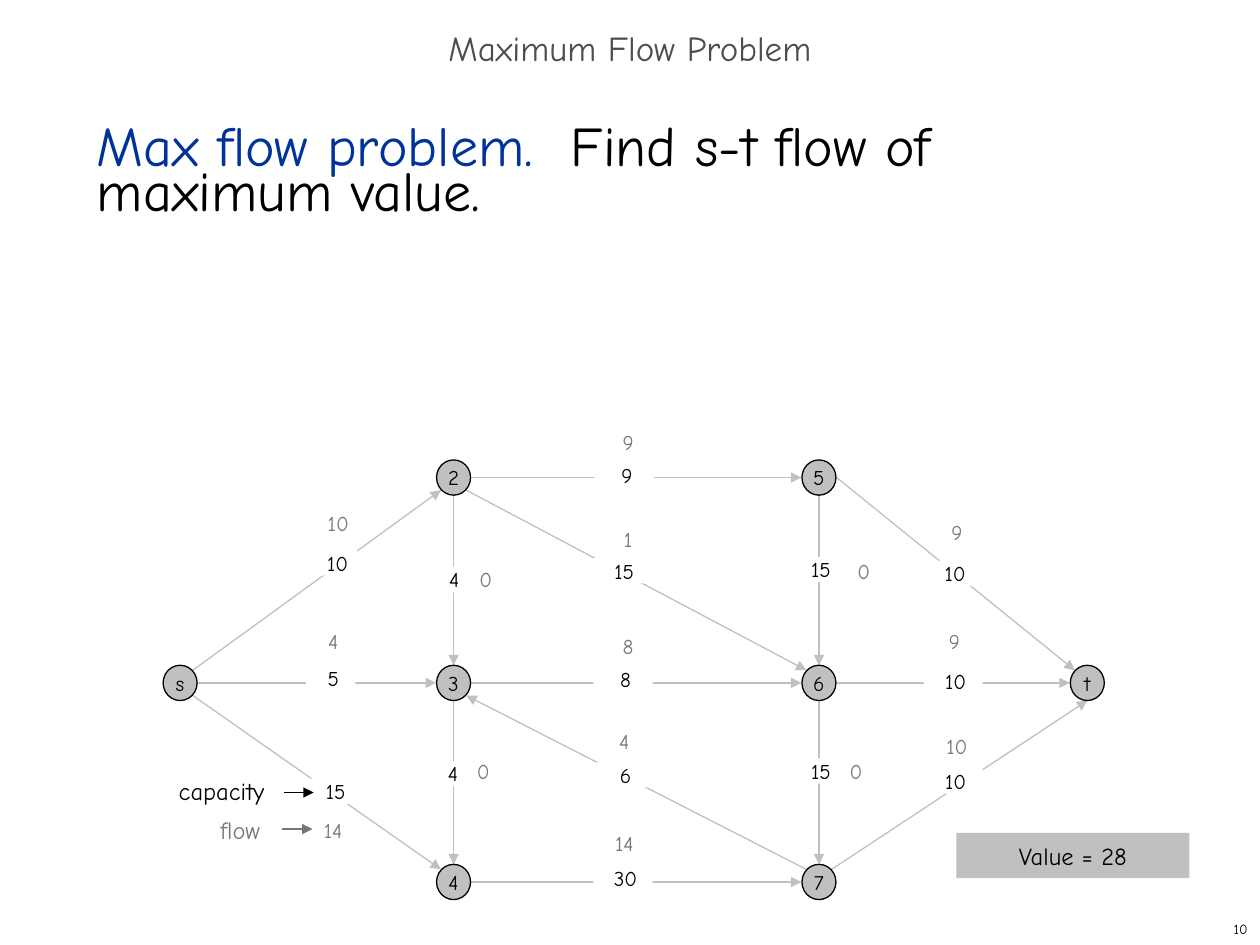
from typing import NamedTuple

from lxml.etree import SubElement
from pptx import Presentation
from pptx.dml.color import RGBColor
from pptx.enum.shapes import MSO_CONNECTOR, MSO_SHAPE
from pptx.enum.text import MSO_ANCHOR as ANCHOR, PP_ALIGN as ALIGN
from pptx.oxml.ns import qn
from pptx.util import Inches, Pt

FONT = "Comic Neue"
BLACK = RGBColor(0x00, 0x00, 0x00)
WHITE = RGBColor(0xFF, 0xFF, 0xFF)
BLUE = RGBColor(0x00, 0x33, 0x99)
DARK = RGBColor(0x4D, 0x4D, 0x4D)
GRAY = RGBColor(0x77, 0x77, 0x77)
SILVER = RGBColor(0xC0, 0xC0, 0xC0)

NODE_W, NODE_H = 0.27, 0.28
LABEL_W, LABEL_H = 0.37, 0.19

# Column and row centres of the network
S_X, LEFT_X, RIGHT_X, T_X = 1.43, 3.6, 6.5, 8.63
TOP_Y, MID_Y, LOW_Y = 3.79, 5.42, 7.0
NODES = {
    "s": (S_X, MID_Y), "t": (T_X, MID_Y),
    "2": (LEFT_X, TOP_Y), "3": (LEFT_X, MID_Y), "4": (LEFT_X, LOW_Y),
    "5": (RIGHT_X, TOP_Y), "6": (RIGHT_X, MID_Y), "7": (RIGHT_X, LOW_Y),
}

# Points on a node's rim, as offsets from its centre
PORTS = {
    "N": (0, -0.14), "S": (0, 0.14), "W": (-0.14, 0), "E": (0.14, 0),
    "NW": (-0.1, -0.1), "NE": (0.1, -0.1), "SW": (-0.1, 0.1), "SE": (0.1, 0.1),
}


class Edge(NamedTuple):
    src: str
    src_port: str
    dst: str
    dst_port: str
    capacity: int
    capacity_at: tuple[float, float]
    flow: int
    flow_at: tuple[float, float]
    gap: float = 0.47  # width of the break in the arrow
    indent: float = 0.04


EDGES = [
    Edge("s", "NE", "2", "SW", 10, (2.38, 4.37), 10, (2.5, 4.05), 0.46, 0.14),
    Edge("s", "E", "3", "W", 5, (2.43, 5.28), 4, (2.46, 4.99), 0.39),
    Edge("s", "SE", "4", "NW", 15, (2.41, 6.18), 14, (2.46, 6.49)),
    Edge("2", "E", "5", "W", 9, (4.72, 3.67), 9, (4.8, 3.41)),
    Edge("2", "SE", "6", "NW", 15, (4.7, 4.43), 1, (4.8, 4.18)),
    Edge("2", "S", "3", "N", 4, (3.35, 4.5), 0, (3.67, 4.5)),
    Edge("3", "E", "6", "W", 8, (4.71, 5.29), 8, (4.8, 5.03)),
    Edge("3", "S", "4", "N", 4, (3.34, 6.04), 0, (3.65, 6.02)),
    Edge("4", "E", "7", "W", 30, (4.71, 6.87), 14, (4.77, 6.59)),
    Edge("7", "NW", "3", "SE", 6, (4.71, 6.05), 4, (4.77, 5.78)),
    Edge("5", "S", "6", "N", 15, (6.26, 4.42), 0, (6.67, 4.43)),
    Edge("6", "S", "7", "N", 15, (6.26, 6.02), 0, (6.61, 6.02)),
    Edge("5", "E", "t", "NW", 10, (7.28, 4.45), 9, (7.41, 4.12), 0.46, 0.14),
    Edge("6", "E", "t", "W", 10, (7.33, 5.31), 9, (7.39, 4.99)),
    Edge("7", "NE", "t", "S", 10, (7.33, 6.1), 10, (7.41, 5.82)),
]


def style_run(r, size: float, color: RGBColor) -> None:
    r.font.name = FONT
    r.font.size = Pt(size)
    r.font.color.rgb = color


def set_text(sp, text: str, size: float, color: RGBColor, align=ALIGN.CENTER,
             anchor=ANCHOR.TOP, insets=(0.1, 0.05, 0.1, 0.05), wrap=True):
    tf = sp.text_frame
    tf.text = text
    tf.word_wrap = wrap
    tf.vertical_anchor = anchor
    tf.margin_left, tf.margin_top, tf.margin_right, tf.margin_bottom = map(Inches, insets)
    p = tf.paragraphs[0]
    p.alignment = align
    style_run(p.runs[0], size, color)
    return p


def add_box(slide, x: float, y: float, w: float, h: float):
    return slide.shapes.add_textbox(Inches(x), Inches(y), Inches(w), Inches(h))


def add_filled(slide, kind, x: float, y: float, w: float, h: float, fill: RGBColor):
    sp = slide.shapes.add_shape(kind, Inches(x), Inches(y), Inches(w), Inches(h))
    sp.shadow.inherit = False
    sp.fill.solid()
    sp.fill.fore_color.rgb = fill
    sp.line.fill.background()
    return sp


def add_arrow(slide, x1: float, y1: float, x2: float, y2: float, color: RGBColor) -> None:
    line = slide.shapes.add_connector(
        MSO_CONNECTOR.STRAIGHT, Inches(x1), Inches(y1), Inches(x2), Inches(y2))
    line.line.color.rgb = color
    line.line.width = Pt(0.75)
    SubElement(line.line._get_or_add_ln(), qn("a:tailEnd"), type="triangle")
    SubElement(line._element.spPr, qn("a:effectLst"))


def port_point(node: str, port: str) -> tuple[float, float]:
    (x, y), (dx, dy) = NODES[node], PORTS[port]
    return x + dx, y + dy


def add_node(slide, name: str) -> None:
    x, y = NODES[name]
    sp = add_filled(slide, MSO_SHAPE.OVAL, x - NODE_W / 2, y - NODE_H / 2,
                    NODE_W, NODE_H, SILVER)
    sp.line.color.rgb = BLACK
    sp.line.width = Pt(0.75)
    set_text(sp, name, 12, BLACK, anchor=ANCHOR.MIDDLE, wrap=False)


def add_edge_labels(slide, edge: Edge) -> None:
    sp = add_filled(slide, MSO_SHAPE.RECTANGLE, *edge.capacity_at, edge.gap, 0.2, WHITE)
    set_text(sp, str(edge.capacity), 12, BLACK, insets=(edge.indent, 0, 0, 0))
    sp = add_box(slide, *edge.flow_at, LABEL_W, LABEL_H)
    set_text(sp, str(edge.flow), 12, GRAY, insets=(0, 0, 0, 0))


def add_network(slide) -> None:
    for edge in EDGES:
        add_arrow(slide, *port_point(edge.src, edge.src_port),
                  *port_point(edge.dst, edge.dst_port), SILVER)
    for name in NODES:
        add_node(slide, name)
    for edge in EDGES:
        add_edge_labels(slide, edge)


def add_legend(slide) -> None:
    for text, x, y, w, arrow_x, arrow_y, color in (
        ("capacity", 1.32, 6.11, 0.88, 2.25, 6.29, BLACK),
        ("flow", 1.65, 6.42, 0.52, 2.24, 6.58, GRAY),
    ):
        set_text(add_box(slide, x, y, w, 0.33), text, 14, color, ALIGN.LEFT, wrap=False)
        add_arrow(slide, arrow_x, arrow_y, arrow_x + 0.24, arrow_y, color)


def add_headings(slide) -> None:
    title = slide.shapes.title
    title.left, title.top, title.width, title.height = map(Inches, (0, 0.17, 10, 0.5))
    p = set_text(title, "Maximum Flow Problem", 20, DARK, anchor=ANCHOR.MIDDLE)
    p.line_spacing = 0.7

    p = set_text(add_box(slide, 0.67, 1, 8.58, 5.92), "Max flow problem.  ", 32, BLUE, ALIGN.LEFT)
    p.line_spacing = Pt(26)
    r = p.add_run()
    r.text = "Find s-t flow of maximum value."
    style_run(r, 32, BLACK)


def main() -> None:
    prs = Presentation()
    prs.slide_width, prs.slide_height = Inches(10), Inches(7.5)
    slide = prs.slides.add_slide(prs.slide_layouts[5])
    add_headings(slide)
    add_network(slide)
    add_legend(slide)
    value = add_filled(slide, MSO_SHAPE.RECTANGLE, 7.59, 6.61, 1.85, 0.36, SILVER)
    set_text(value, "Value = 28", 14, BLACK, anchor=ANCHOR.MIDDLE, insets=(0.1,) * 4)
    set_text(add_box(slide, 7.92, 7.25, 2.08, 0.25), "10", 8, BLACK, ALIGN.RIGHT, ANCHOR.MIDDLE)
    prs.save("out.pptx")


if __name__ == "__main__":
    main()
